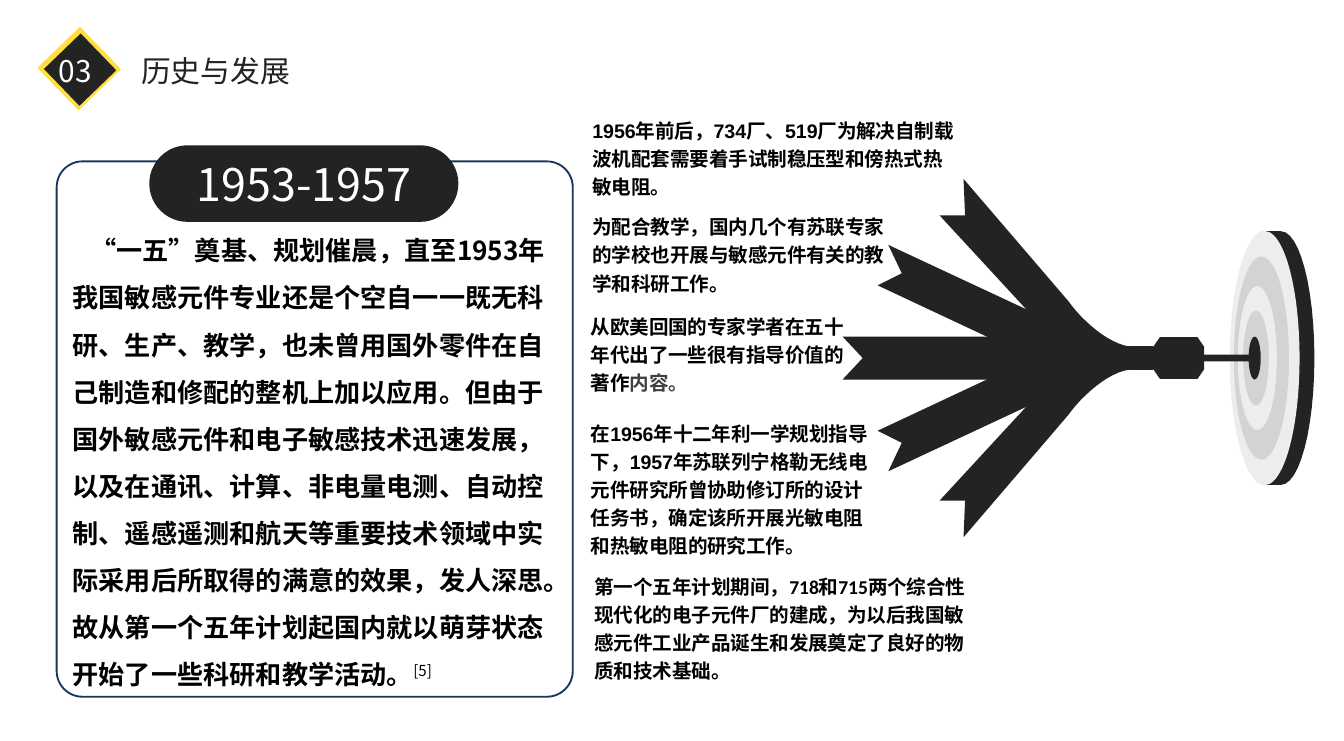
from dataclasses import dataclass

from pptx import Presentation
from pptx import util as u
from pptx.dml.color import RGBColor
from pptx.enum import shapes, text
from pptx.oxml.ns import qn

Pt = u.Pt
AXIS = 191.7  # height of the dart's centre line


@dataclass(frozen=True)
class Theme:
    dark: str = "232323"
    yellow: str = "FFDE43"
    navy: str = "17375E"
    white: str = "FFFFFF"
    black: str = "000000"
    grey: str = "404040"
    pale: str = "EDEDED"
    silver: str = "D1D3D4"
    cjk: str = "Noto Sans CJK SC"
    period: float = 24
    heading: float = 16
    body: float = 14
    note: float = 10.5


T = Theme()

BODY = ("“一五”奠基、规划催晨，直至1953年我国敏感元件专业还是个空自一一既无科研、生产、教学，"
        "也未曾用国外零件在自己制造和修配的整机上加以应用。但由于国外敏感元件和电子敏感技术迅速发展，"
        "以及在通讯、计算、非电量电测、自动控制、遥感遥测和航天等重要技术领域中实际采用后所取得的满意的效果，"
        "发人深思。故从第一个五年计划起国内就以萌芽状态开始了一些科研和教学活动。")

# left, top, width, height, Latin font, runs (text, colour)
NOTES = [
    (310.3, 57.6, 208, 52, "Arial",
     [("1956年前后，734厂、519厂为解决自制载波机配套需要着手试制稳压型和傍热式热敏电阻。", T.black)]),
    (310.3, 109.4, 177, 52, "Calibri",
     [("为配合教学，国内几个有苏联专家的学校也开展与敏感元件有关的教学和科研工作。", T.black)]),
    (309.4, 162.9, 152, 52, "Arial",
     [("从欧美回国的专家学者在五十年代出了一些很有指导价值的著作", T.black), ("内容。", T.grey)]),
    (309.4, 220.2, 170, 81, "Arial",
     [("在1956年十二年利一学规划指导下，1957年苏联列宁格勒无线电元件研究所曾协助修订所的设计"
       "任务书，确定该所开展光敏电阻和热敏电阻的研究工作。", T.black)]),
    (311.4, 301.8, 219, 67, "Calibri",
     [("第一个五年计划期间，718和715两个综合性现代化的电子元件厂的建成，为以后我国敏感元件工业"
       "产品诞生和发展奠定了良好的物质和技术基础。", T.black)]),
]


def paint(sp, fill=None, line=None):
    sp.shadow.inherit = False
    if fill:
        sp.fill.solid()
        sp.fill.fore_color.rgb = RGBColor.from_string(fill)
    else:
        sp.fill.background()
    if line:
        sp.line.color.rgb = RGBColor.from_string(line)
        sp.line.width = Pt(1)
    else:
        sp.line.fill.background()


def place(sp, *box):
    sp.left, sp.top, sp.width, sp.height = map(Pt, box)


def add_shape(s, kind, box, fill=None, line=None, radius=None, turn=0):
    sp = s.shapes.add_shape(kind, *map(Pt, box))
    paint(sp, fill, line)
    sp.rotation = turn
    if radius is not None:
        sp.adjustments[0] = radius
    return sp


def add_run(p, words, size, color, latin=T.cjk, bold=False):
    r = p.add_run()
    r.text = words
    r.font.size, r.font.bold, r.font.name = Pt(size), bold, latin
    r.font.color.rgb = RGBColor.from_string(color)
    ea = r._r.get_or_add_rPr().makeelement(qn("a:ea"), {"typeface": T.cjk})
    r.font._element.find(qn("a:latin")).addnext(ea)
    return r


def set_frame(sp, wrap=True, anchor=text.MSO_ANCHOR.TOP, inset=(7.2, 3.6), align=text.PP_ALIGN.LEFT):
    tf = sp.text_frame
    tf.auto_size = text.MSO_AUTO_SIZE.NONE
    tf.word_wrap, tf.vertical_anchor = wrap, anchor
    tf.margin_left = tf.margin_right = Pt(inset[0])
    tf.margin_top = tf.margin_bottom = Pt(inset[1])
    p = tf.paragraphs[0]
    p.alignment = align
    return p


def add_text(s, box, **frame):
    return set_frame(s.shapes.add_textbox(*map(Pt, box)), **frame)


def curve(a, b, c, d, steps=12):
    """Points along a cubic curve from a to d."""
    def at(t):
        k = 1 - t
        return tuple(k**3 * a[i] + 3 * k * k * t * b[i] + 3 * k * t * t * c[i] + t**3 * d[i]
                     for i in (0, 1))
    return [at(n / steps) for n in range(steps + 1)]


def mirror(points):
    return [(x, -y) for x, y in points]


def add_outline(s, points):
    """Closed dark outline; y is measured from the dart's axis."""
    pts = [(Pt(x), Pt(AXIS + y)) for x, y in points]
    fb = s.shapes.build_freeform(*pts[0], scale=1.0)
    fb.add_line_segments(pts[1:], close=True)
    paint(fb.convert_to_shape(), T.dark)


def add_symmetric(s, half):
    add_outline(s, half + mirror(half)[::-1])


def add_header(s):
    for box, color in (((26.6, 20.9, 31.7, 31.7), T.yellow), ((29.2, 23.6, 27.4, 27.4), T.dark)):
        add_shape(s, shapes.MSO_SHAPE.RECTANGLE, box, color, turn=46)
    p = add_text(s, (24.5, 24.5, 32.4, 26.6), wrap=False)
    add_run(p, "03", T.heading, T.white)
    title = s.shapes.title
    place(title, 68.4, 24.5, 95, 26.6)
    add_run(set_frame(title, wrap=False), "历史与发展", T.heading, T.dark)


def add_period_card(s):
    rounded = shapes.MSO_SHAPE.ROUNDED_RECTANGLE
    add_shape(s, rounded, (30.4, 86.4, 276.5, 286.6), line=T.navy, radius=0.05)
    pill = add_shape(s, rounded, (80, 77.8, 165.6, 41), T.dark, radius=0.5)
    p = set_frame(pill, False, text.MSO_ANCHOR.MIDDLE, (5, 2.9), text.PP_ALIGN.CENTER)
    add_run(p, "1953-1957", T.period, T.white)
    p = add_text(s, (35.3, 115.9, 262.8, 195), inset=(3.6, 1.4))
    p.line_spacing = 1.5
    p._p.get_or_add_pPr().set("indent", str(Pt(9.4)))
    add_run(p, BODY, T.body, T.black, bold=True)
    r = add_run(p, "[5]", T.body, T.black)
    r.font._element.set("baseline", "30000")


def add_target(s):
    rim = curve((704.2, 0), (704.2, -37.9), (696.2, -67.9), (686.2, -67.9))
    rim += [(676.8, -67.9)]
    rim += curve((676.8, -60), (671, -48.5), (667.4, -26), (667.4, 0))
    add_symmetric(s, rim)
    rings = [(658.8, 37.4, 136.1, T.pale), (661, 29.5, 108.7, T.silver), (663.1, 20.9, 77, T.pale),
             (666, 13.7, 51.1, T.silver), (668.9, 6.5, 23, T.dark)]
    for left, w, h, color in rings:
        add_shape(s, shapes.MSO_SHAPE.OVAL, (left, AXIS - h / 2, w, h), color)


def add_dart(s):
    # Tip, barrel, neck and middle feather
    add_symmetric(s, [(645.1, -1.8), (671, -1.8), (673.2, 0)])
    add_symmetric(s, [(617.8, -6), (621.4, -11.2), (641.5, -11.2), (645.1, -6)])
    add_symmetric(s, [(605.5, -6.2), (617.8, -6.2)])
    add_symmetric(s, [(573.1, -11.5), (451.4, -11.5), (462.2, 0)])
    # Feathers above and below the axis
    inner = [(475.9, -60.6), (483.1, -45.4), (470.2, -38.9), (585.4, 15.1), (591.8, -6.5)]
    outer = [(516.2, -95.9), (517, -76.4), (503.3, -76.4)]
    outer += curve((563.8, -10.9), (573.8, 0), (583.2, 6.2), (605.5, 6.2))
    outer += curve((605.5, -6.2), (594, -7.3), (579.6, -20.3), (572.4, -30.4))
    for feather in (inner, outer):
        add_outline(s, feather)
        add_outline(s, mirror(feather))


def add_notes(s):
    for *box, latin, runs in NOTES:
        p = add_text(s, box)
        p.line_spacing = Pt(15)
        for words, color in runs:
            add_run(p, words, T.note, color, latin, bold=True)


def main():
    prs = Presentation()
    prs.slide_width, prs.slide_height = Pt(720), Pt(396.72)
    s = prs.slides.add_slide(prs.slide_layouts[5])
    add_period_card(s)
    add_header(s)
    add_target(s)
    add_dart(s)
    add_notes(s)
    prs.save("out.pptx")


if __name__ == "__main__":
    main()
